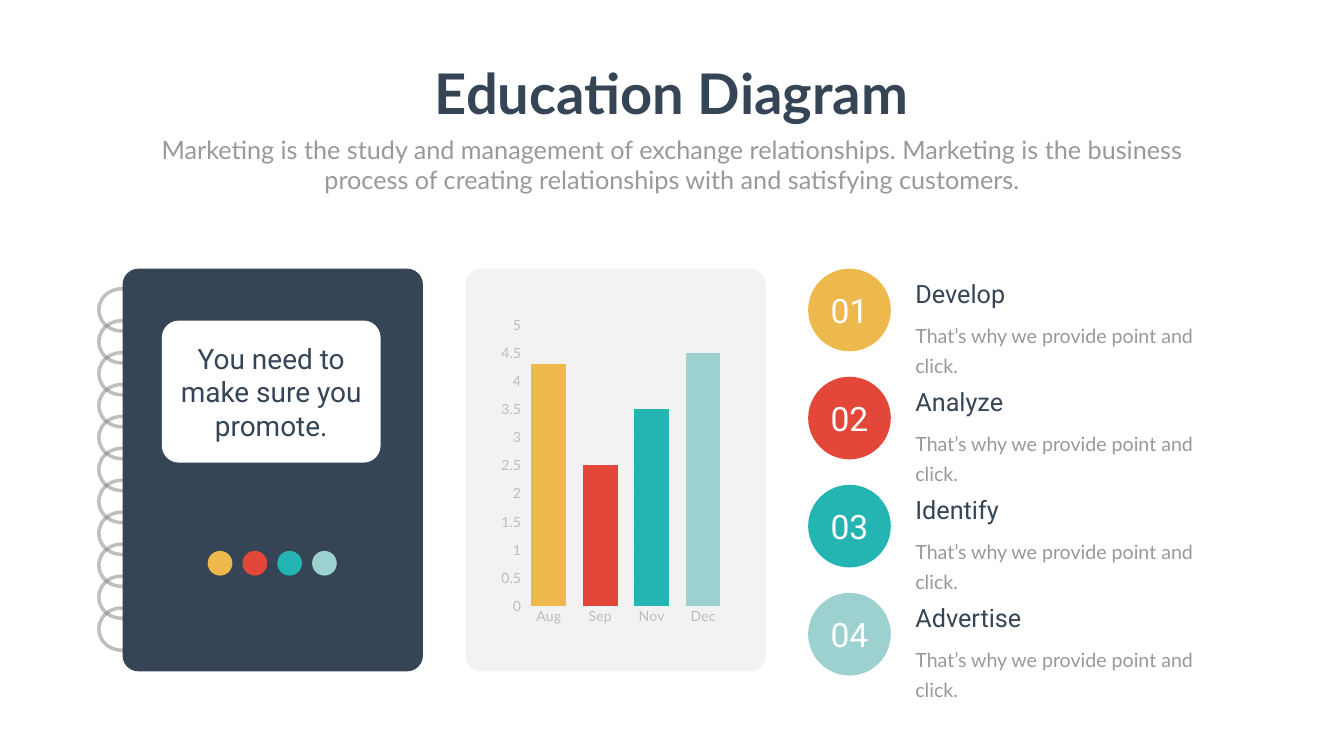
"""Build the Education Diagram slide with a notebook, a column chart and four steps."""
from dataclasses import dataclass

from lxml import etree
from pptx import Presentation
from pptx.chart.data import CategoryChartData
from pptx.dml.color import RGBColor
from pptx.enum.chart import XL_CHART_TYPE, XL_TICK_MARK
from pptx.enum.shapes import MSO_SHAPE
from pptx.enum.text import MSO_ANCHOR, MSO_AUTO_SIZE, PP_ALIGN
from pptx.oxml.ns import qn
from pptx.shapes.autoshape import Shape
from pptx.slide import Slide
from pptx.util import Pt

OVAL, ROUNDED = MSO_SHAPE.OVAL, MSO_SHAPE.ROUNDED_RECTANGLE
LEFT, CENTER = PP_ALIGN.LEFT, PP_ALIGN.CENTER
TOP, MIDDLE = MSO_ANCHOR.TOP, MSO_ANCHOR.MIDDLE
NO_AUTOFIT = MSO_AUTO_SIZE.NONE
COLUMNS = XL_CHART_TYPE.COLUMN_CLUSTERED
NO_TICKS = XL_TICK_MARK.NONE

COLORS = {
    "navy": "364556", "gray": "999999", "shade": "808080", "white": "FFFFFF",
    "axis": "BDBDBD", "grid": "F0F0F0",
    "yellow": "EEB94C", "red": "E34739", "teal": "24B5B2", "mint": "9CD1D0",
}
HEADING_FONT, BODY_FONT = "Roboto", "Lato"
DESCRIPTION = "That’s why we provide point and click."

CARD_TOP, CARD_WIDTH, CARD_HEIGHT = 383.8, 429.1, 575.3
NOTEBOOK_LEFT, CHART_CARD_LEFT = 175, 664.6
RING_COUNT, RING_TOP, RING_PITCH = 11, 412.6, 45.6
DOT_LEFT, DOT_PITCH, DOT_SIZE = 296.6, 49.7, 35.3
STEP_LEFT, STEP_PITCH, STEP_SIZE = 1154.2, 154.4, 118.1
STEP_TEXT_LEFT = 1300.3


@dataclass(frozen=True)
class Box:
    left: float
    top: float
    width: float
    height: float

    def lengths(self) -> tuple[Pt, Pt, Pt, Pt]:
        return Pt(self.left), Pt(self.top), Pt(self.width), Pt(self.height)


@dataclass(frozen=True)
class Step:
    title: str
    color: str
    month: str
    value: float


STEPS = [
    Step("Develop", "yellow", "Aug", 4.3),
    Step("Analyze", "red", "Sep", 2.5),
    Step("Identify", "teal", "Nov", 3.5),
    Step("Advertise", "mint", "Dec", 4.5),
]


def rgb(name: str) -> RGBColor:
    return RGBColor.from_string(COLORS[name])


def write(shape: Shape, text: str, *, size: float, color: str, font: str = BODY_FONT,
          bold: bool = False, align: PP_ALIGN = LEFT, anchor: MSO_ANCHOR = TOP,
          wrap: bool = True, line_spacing: Pt | float = 1.0) -> None:
    frame = shape.text_frame
    frame.text = text
    frame.word_wrap = wrap
    frame.auto_size = NO_AUTOFIT
    frame.vertical_anchor = anchor
    paragraph = frame.paragraphs[0]
    properties = paragraph._p.get_or_add_pPr()
    properties.set("marL", "0")
    properties.set("indent", "0")
    etree.SubElement(properties, qn("a:buNone"))
    paragraph.alignment = align
    paragraph.space_before = Pt(0)
    paragraph.line_spacing = line_spacing
    run_font = paragraph.runs[0].font
    run_font.name, run_font.size, run_font.bold = font, Pt(size), bold
    run_font.color.rgb = rgb(color)


def place(shape: Shape, box: Box) -> Shape:
    shape.left, shape.top, shape.width, shape.height = box.lengths()
    return shape


def add_text_box(slide: Slide, box: Box) -> Shape:
    return slide.shapes.add_textbox(*box.lengths())


def add_figure(slide: Slide, kind: MSO_SHAPE, box: Box, *, fill: str | None = None,
               line: str | None = None, corner: float | None = None,
               opacity: int = 100) -> Shape:
    shape = slide.shapes.add_shape(kind, *box.lengths())
    shape.shadow.inherit = False
    if corner is not None:
        shape.adjustments[0] = corner
    if fill:
        shape.fill.solid()
        shape.fill.fore_color.rgb = rgb(fill)
    else:
        shape.fill.background()
    if line:
        shape.line.color.rgb = rgb(line)
        shape.line.width = Pt(5)
    else:
        shape.line.fill.background()
    if opacity < 100:
        for color in shape.element.spPr.iter(qn("a:srgbClr")):
            etree.SubElement(color, qn("a:alpha"), val=str(opacity * 1000))
    return shape


def add_notebook(slide: Slide) -> None:
    for index in range(RING_COUNT):
        ring = Box(141.1, RING_TOP + index * RING_PITCH, 64.8, 60.2)
        add_figure(slide, OVAL, ring, line="shade", opacity=50)
    cover = Box(NOTEBOOK_LEFT, CARD_TOP, CARD_WIDTH, CARD_HEIGHT)
    add_figure(slide, ROUNDED, cover, fill="navy", corner=0.053)
    label = add_figure(slide, ROUNDED, Box(231.1, 457.9, 312.5, 203),
                       fill="white", corner=0.12)
    write(label, "You need to make sure you promote.", size=40, color="navy",
          font=HEADING_FONT, align=CENTER, anchor=MIDDLE)
    for index, step in enumerate(STEPS):
        dot = Box(DOT_LEFT + index * DOT_PITCH, 787, DOT_SIZE, DOT_SIZE)
        add_figure(slide, OVAL, dot, fill=step.color)


def add_month_chart(slide: Slide) -> None:
    data = CategoryChartData()
    data.categories = [step.month for step in STEPS]
    data.add_series("Series 1", [step.value for step in STEPS])
    box = Box(709.2, 442.8, 338.4, 459.4)
    chart = slide.shapes.add_chart(COLUMNS, *box.lengths(), data).chart
    chart.has_legend = chart.has_title = False
    chart.font.name, chart.font.size = BODY_FONT, Pt(20)
    chart.font.color.rgb = rgb("gray")
    for axis in (chart.category_axis, chart.value_axis):
        axis.major_tick_mark = axis.minor_tick_mark = NO_TICKS
        label_font = axis.tick_labels.font
        label_font.name, label_font.size = BODY_FONT, Pt(20)
        label_font.color.rgb = rgb("axis")
    value_axis = chart.value_axis
    value_axis.minimum_scale, value_axis.maximum_scale = 0, 5
    value_axis.major_unit = 0.5
    value_axis.format.line.fill.background()
    for line in (chart.category_axis.format.line, value_axis.major_gridlines.format.line):
        line.color.rgb = rgb("grid")
        line.width = Pt(0.75)
    plot = chart.plots[0]
    plot.gap_width, plot.overlap, plot.vary_by_categories = 48, -27, False
    series = plot.series[0]
    series.format.fill.solid()
    series.format.fill.fore_color.rgb = rgb(STEPS[0].color)
    for index, step in enumerate(STEPS):
        fill = series.points[index].format.fill
        fill.solid()
        fill.fore_color.rgb = rgb(step.color)


def add_step(slide: Slide, index: int, step: Step) -> None:
    top = CARD_TOP + index * STEP_PITCH
    badge = add_figure(slide, OVAL, Box(STEP_LEFT, top, STEP_SIZE, STEP_SIZE),
                       fill=step.color)
    write(badge, f"{index + 1:02}", size=48, color="white", font=HEADING_FONT,
          align=CENTER, anchor=MIDDLE, wrap=False)
    title = add_text_box(slide, Box(STEP_TEXT_LEFT, top + 10, 317.5, 51.1))
    write(title, step.title, size=36, color="navy", font=HEADING_FONT)
    description = add_text_box(slide, Box(STEP_TEXT_LEFT, top + 66.2, 478.1, 46.1))
    write(description, DESCRIPTION, size=28, color="gray", line_spacing=Pt(43))


def main() -> None:
    presentation = Presentation()
    presentation.slide_width, presentation.slide_height = Pt(1919.52), Pt(1080)
    slide = presentation.slides.add_slide(presentation.slide_layouts[1])
    title = place(slide.shapes.title, Box(607.7, 80.6, 703.4, 104.4))
    write(title, "Education Diagram", size=80, color="navy", bold=True,
          align=CENTER, wrap=False)
    subtitle = place(slide.placeholders[1], Box(210.2, 187.9, 1499, 94.3))
    write(subtitle, "Marketing is the study and management of exchange relationships. "
          "Marketing is the business process of creating relationships with and "
          "satisfying customers.", size=36, color="gray", align=CENTER)
    add_notebook(slide)
    chart_card = Box(CHART_CARD_LEFT, CARD_TOP, CARD_WIDTH, CARD_HEIGHT)
    add_figure(slide, ROUNDED, chart_card, fill="shade", corner=0.053, opacity=10)
    add_month_chart(slide)
    for index, step in enumerate(STEPS):
        add_step(slide, index, step)
    presentation.save("out.pptx")


if __name__ == "__main__":
    main()
